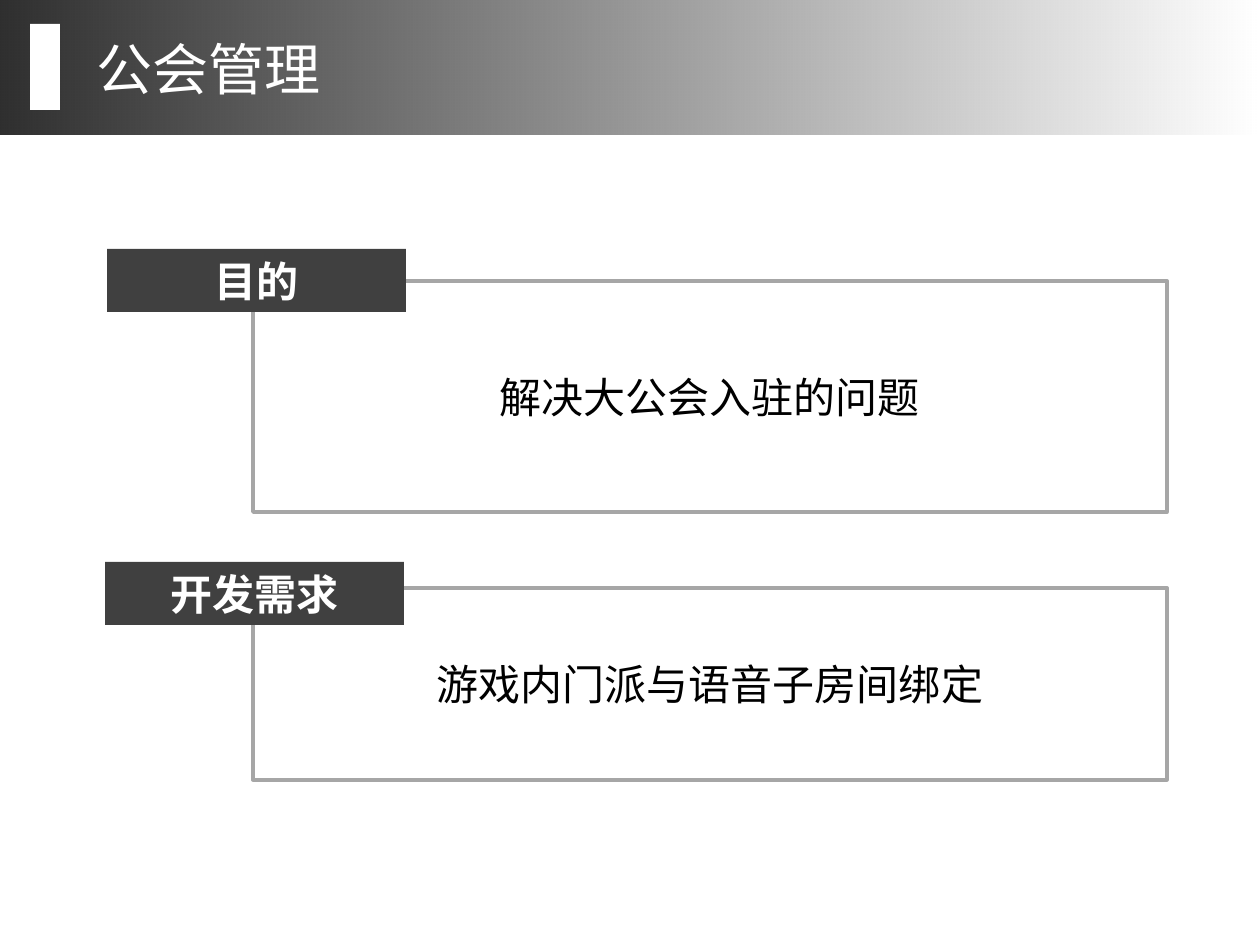
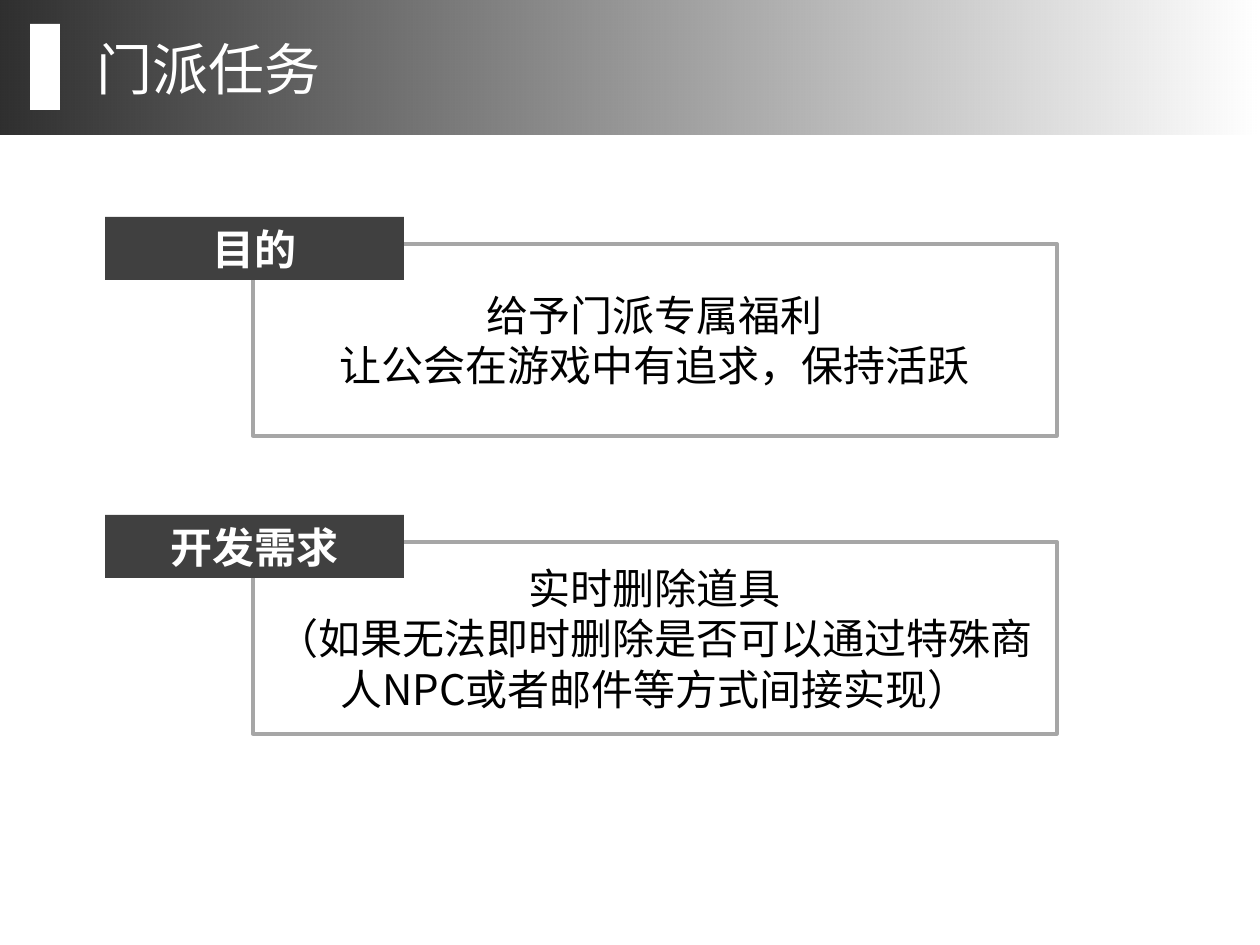
from lxml.etree import SubElement
from pptx import Presentation
from pptx.dml.color import RGBColor
from pptx.enum.shapes import MSO_SHAPE as SHAPE
from pptx.enum.text import MSO_ANCHOR as ANCHOR, MSO_AUTO_SIZE as AUTO, PP_ALIGN as ALIGN
from pptx.oxml.ns import qn
from pptx.util import Pt

PX = 914400 / 126
WIDTH, HEIGHT = 1260, 945
FONT = "Noto Sans CJK SC"
BLACK = RGBColor(0x00, 0x00, 0x00)
WHITE = RGBColor(0xFF, 0xFF, 0xFF)
DARK = RGBColor(0x40, 0x40, 0x40)
GREY = RGBColor(0xA6, 0xA6, 0xA6)

BOX_LEFT = 253
LABEL_W, LABEL_H = 299, 63


def px(*lengths):
    return [round(n * PX) for n in lengths]


class Deck:
    def __init__(self):
        self.prs = Presentation()
        self.prs.slide_width, self.prs.slide_height = px(WIDTH, HEIGHT)
        self.s = None

    def slide(self, title):
        self.s = self.prs.slides.add_slide(self.prs.slide_layouts[6])
        self.band()
        self.rect(30, 24, 30, 86, fill=WHITE)
        self.title(title)

    def band(self):
        """Header band fading from dark to fully transparent."""
        sp = self.rect(0, 0, WIDTH, 135)
        sp.fill.gradient()
        sp.fill.gradient_angle = 0
        for stop, alpha in zip(sp.fill.gradient_stops, (82000, 0)):
            stop.color.rgb = BLACK
            # The colour element of this stop is the first one without alpha
            clr = sp._element.xpath(".//a:gs/a:srgbClr[not(a:alpha)]")[0]
            SubElement(clr, qn("a:alpha"), val=str(alpha))

    def title(self, text):
        tf = self.s.shapes.add_textbox(*px(84, 28, 912, 80)).text_frame
        self.set_text(tf, text, 32, WHITE, align=ALIGN.LEFT)
        tf.auto_size = AUTO.SHAPE_TO_FIT_TEXT

    def rect(self, x, y, w, h, fill=None, line=None):
        sp = self.s.shapes.add_shape(SHAPE.RECTANGLE, *px(x, y, w, h))
        sp.shadow.inherit = False
        if fill is None:
            sp.fill.background()
        else:
            sp.fill.solid()
            sp.fill.fore_color.rgb = fill
        if line is None:
            sp.line.fill.background()
        else:
            sp.line.color.rgb = line
            sp.line.width = Pt(2)
        return sp

    def set_text(self, tf, text, size, color, bold=False, align=ALIGN.CENTER):
        tf.word_wrap = True
        tf.text = text
        for p in tf.paragraphs:
            p.alignment = align
            font = p.font
            font.name, font.size, font.bold = FONT, Pt(size), bold
            font.color.rgb = color
            SubElement(font._element, qn("a:ea"), typeface=FONT)

    def section(self, label, text, label_at, top, width, height):
        """Outlined box with a dark label over its upper left corner."""
        box = self.rect(BOX_LEFT, top, width, height, line=GREY)
        box.text_frame.vertical_anchor = ANCHOR.MIDDLE
        self.set_text(box.text_frame, text, 24, BLACK)
        tag = self.rect(*label_at, LABEL_W, LABEL_H, fill=DARK)
        tag.text_frame.vertical_anchor = ANCHOR.TOP
        self.set_text(tag.text_frame, label, 24, WHITE, bold=True)
        tag.text_frame.auto_size = AUTO.SHAPE_TO_FIT_TEXT


def main():
    deck = Deck()

    deck.slide("公会管理")
    deck.section("目的", "解决大公会入驻的问题", (107, 249), 281, 914, 231)
    deck.section("开发需求", "游戏内门派与语音子房间绑定", (105, 562), 588, 914, 192)

    deck.slide("门派任务")
    deck.section("目的", "给予门派专属福利\n让公会在游戏中有追求，保持活跃",
                 (105, 217), 244, 804, 192)
    deck.section("开发需求",
                 "实时删除道具\n（如果无法即时删除是否可以通过特殊商人NPC或者邮件等方式间接实现）",
                 (105, 515), 542, 804, 192)

    deck.prs.save("out.pptx")


if __name__ == "__main__":
    main()
